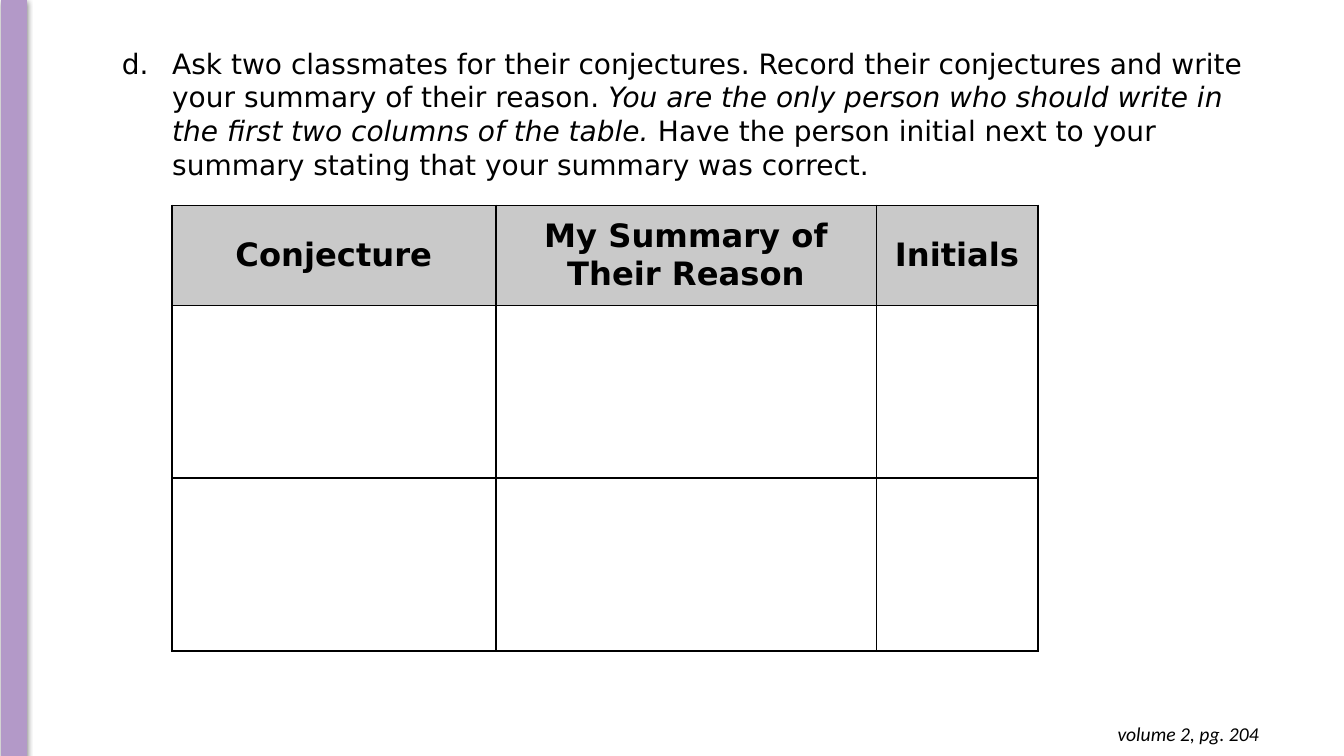
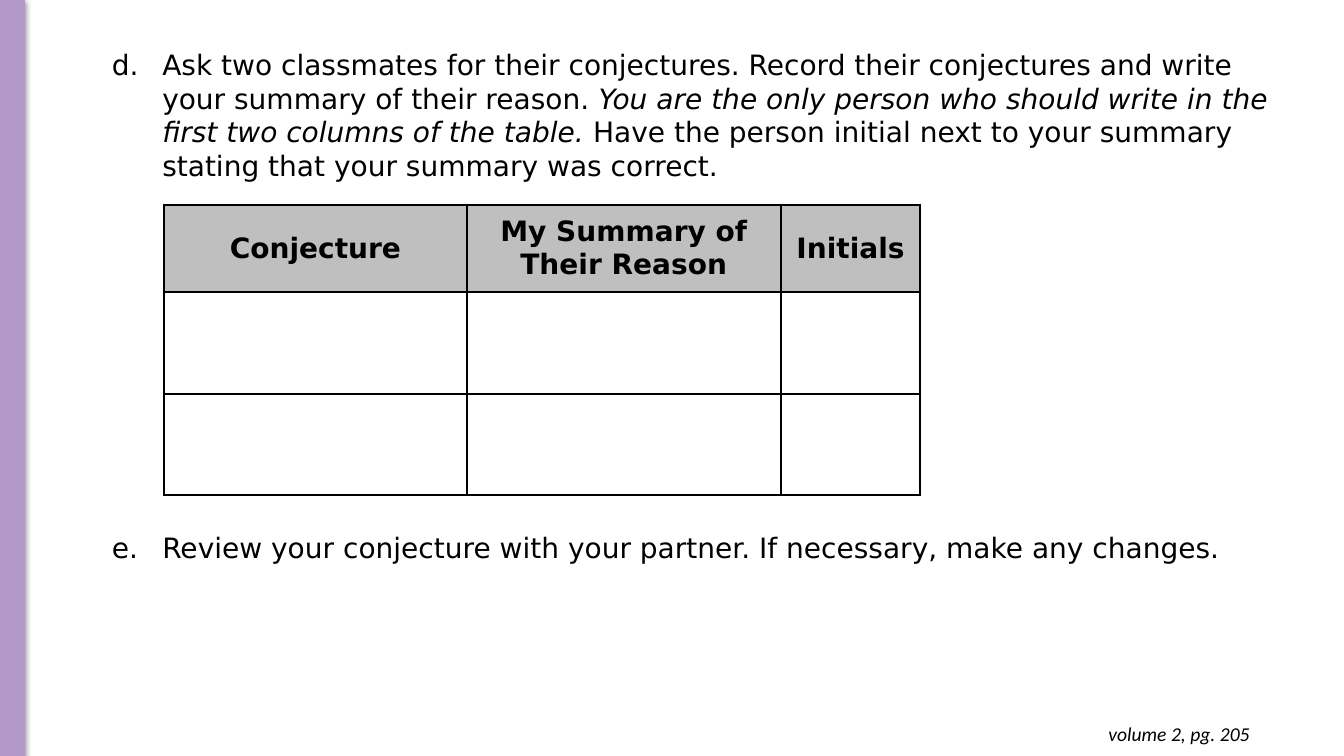
from dataclasses import dataclass
from typing import Any

from lxml.etree import SubElement as Sub
from pptx import Presentation
from pptx.dml.color import RGBColor
from pptx.enum.shapes import MSO_SHAPE as Shape
from pptx.enum.text import MSO_ANCHOR as Anchor, MSO_AUTO_SIZE as Fit, PP_ALIGN as Align
from pptx.oxml.ns import qn
from pptx.util import Cm, Pt

BLACK = RGBColor(0x00, 0x00, 0x00)
LILAC = RGBColor(0xB3, 0x99, 0xC8)
SILVER = RGBColor(0xC9, 0xC9, 0xC9)
GRAY = RGBColor(0xBF, 0xBF, 0xBF)

WIDE, HIGH = Cm(33.87), Cm(19.05)
SIDES = ("left", "right", "top", "bottom")
BODY = {"name": "DejaVu Sans", "size": Pt(20)}
NOTE = {"name": "Calibri", "size": Pt(14), "italic": True}

HEADS = ("Conjecture", "My Summary of Their Reason", "Initials")
ASK = (
    ("Ask two classmates for their conjectures. Record their conjectures "
     "and write your summary of their reason. ", False),
    ("You are the only person who should write in the first two columns "
     "of the table.", True),
    (" Have the person initial next to your summary stating that your "
     "summary was correct.", False),
)
REVIEW = (("Review your conjecture with your partner. "
           "If necessary, make any changes.", False),)


@dataclass
class Box:
    left: float
    top: float
    width: float
    height: float

    def place(self) -> tuple:
        return tuple(Cm(n) for n in (self.left, self.top, self.width, self.height))


@dataclass
class Grid:
    left: float
    top: float
    cols: tuple
    rows: tuple
    size: float
    inset: float
    fill: RGBColor


@dataclass
class Page:
    bar: float
    list_box: Box
    steps: tuple
    gap: float
    grid: Grid
    foot: Box
    number: int


def style(font: Any, form: dict) -> None:
    for key, value in form.items():
        setattr(font, key, value)
    font.color.rgb = BLACK


def solid(parent: Any, color: RGBColor) -> None:
    Sub(Sub(parent, qn("a:solidFill")), qn("a:srgbClr"), val=str(color))


def pad(item: Any, inset: float) -> None:
    for side in SIDES:
        setattr(item, f"margin_{side}", Cm(inset))


def add_frame(slide: Any, box: Box) -> Any:
    frame = slide.shapes.add_textbox(*box.place()).text_frame
    frame.word_wrap = True
    frame.auto_size = Fit.SHAPE_TO_FIT_TEXT
    return frame


def add_bar(slide: Any, left: float) -> None:
    bar = slide.shapes.add_shape(Shape.RECTANGLE, Cm(left), 0, Cm(0.61), HIGH)
    bar.fill.solid()
    bar.fill.fore_color.rgb = bar.line.color.rgb = LILAC
    bar.line.width = Pt(0.75)
    bar.shadow.inherit = False
    glow = bar._element.spPr.find(qn("a:effectLst"))
    shade = Sub(glow, qn("a:outerShdw"), blurRad=str(Pt(4.5)), dist=str(Pt(1.5)),
                dir="5400000", algn="ctr", rotWithShape="0")
    color = Sub(shade, qn("a:srgbClr"), val=str(BLACK))
    Sub(color, qn("a:alpha"), val="50000")


def letter(par: Any) -> None:
    """Number the paragraph with letters, from d on."""
    props = par._p.get_or_add_pPr()
    props.set("marL", str(Cm(2.54)))
    props.set("indent", str(Cm(-1.27)))
    Sub(Sub(props, qn("a:buClr")), qn("a:srgbClr"), val=str(BLACK))
    Sub(props, qn("a:buFont"), typeface=BODY["name"])
    Sub(props, qn("a:buAutoNum"), type="alphaLcPeriod", startAt="4")


def add_steps(slide: Any, page: Page) -> None:
    frame = add_frame(slide, page.list_box)
    for i, step in enumerate(page.steps):
        par = frame.add_paragraph() if i else frame.paragraphs[0]
        letter(par)
        par.space_after = Pt(10)
        if i:
            par.space_before = Pt(page.gap)
        for words, slant in step:
            run = par.add_run()
            run.text = words
            style(run.font, BODY | {"italic": slant})


def edge(cell: Any) -> None:
    """Draw the four borders of a cell."""
    props = cell._tc.get_or_add_tcPr()
    for i, tag in enumerate(("a:lnL", "a:lnR", "a:lnT", "a:lnB")):
        line = props.makeelement(qn(tag), {"w": str(Pt(1.5))})
        solid(line, BLACK)
        props.insert(i, line)


def add_grid(slide: Any, grid: Grid) -> None:
    box = Box(grid.left, grid.top, sum(grid.cols), sum(grid.rows))
    table = slide.shapes.add_table(len(grid.rows), len(grid.cols), *box.place()).table
    table.first_row = table.horz_banding = False
    for col, width in zip(table.columns, grid.cols):
        col.width = Cm(width)
    for row, height in zip(table.rows, grid.rows):
        row.height = Cm(height)
    for cell in table.iter_cells():
        cell.fill.background()
        edge(cell)
    for cell, head in zip(table.rows[0].cells, HEADS):
        cell.fill.solid()
        cell.fill.fore_color.rgb = grid.fill
        cell.vertical_anchor = Anchor.MIDDLE
        pad(cell, grid.inset)
        par = cell.text_frame.paragraphs[0]
        par.alignment = Align.CENTER
        run = par.add_run()
        run.text = head
        style(run.font, BODY | {"size": Pt(grid.size), "bold": True})


def add_foot(slide: Any, box: Box, number: int) -> None:
    frame = add_frame(slide, box)
    pad(frame, 0.25)
    par = frame.paragraphs[0]
    par.alignment = Align.RIGHT
    run = par.add_run()
    run.text = f"volume 2, pg. {number}"
    style(run.font, NOTE)


PAGES = (
    Page(0.05, Box(1.55, 1.04, 30.43, 9.73), (ASK,), 0,
         Grid(4.34, 5.18, (8.15, 9.6, 4.06), (2.52, 4.35, 4.35), 23, 0.28, SILVER),
         Box(24.66, 17.93, 7.32, 1.12), 204),
    Page(0, Box(1.3, 1.07, 31.06, 13.97), (ASK, REVIEW), 239,
         Grid(4.14, 5.16, (7.62, 7.92, 3.51), (2.2, 2.56, 2.56), 20, 0.25, GRAY),
         Box(24.43, 17.93, 7.32, 1.12), 205),
)


def main() -> None:
    deck = Presentation()
    deck.slide_width, deck.slide_height = WIDE, HIGH
    for page in PAGES:
        slide = deck.slides.add_slide(deck.slide_layouts[6])
        add_bar(slide, page.bar)
        add_steps(slide, page)
        add_grid(slide, page.grid)
        add_foot(slide, page.foot, page.number)
    deck.save("out.pptx")


if __name__ == "__main__":
    main()
